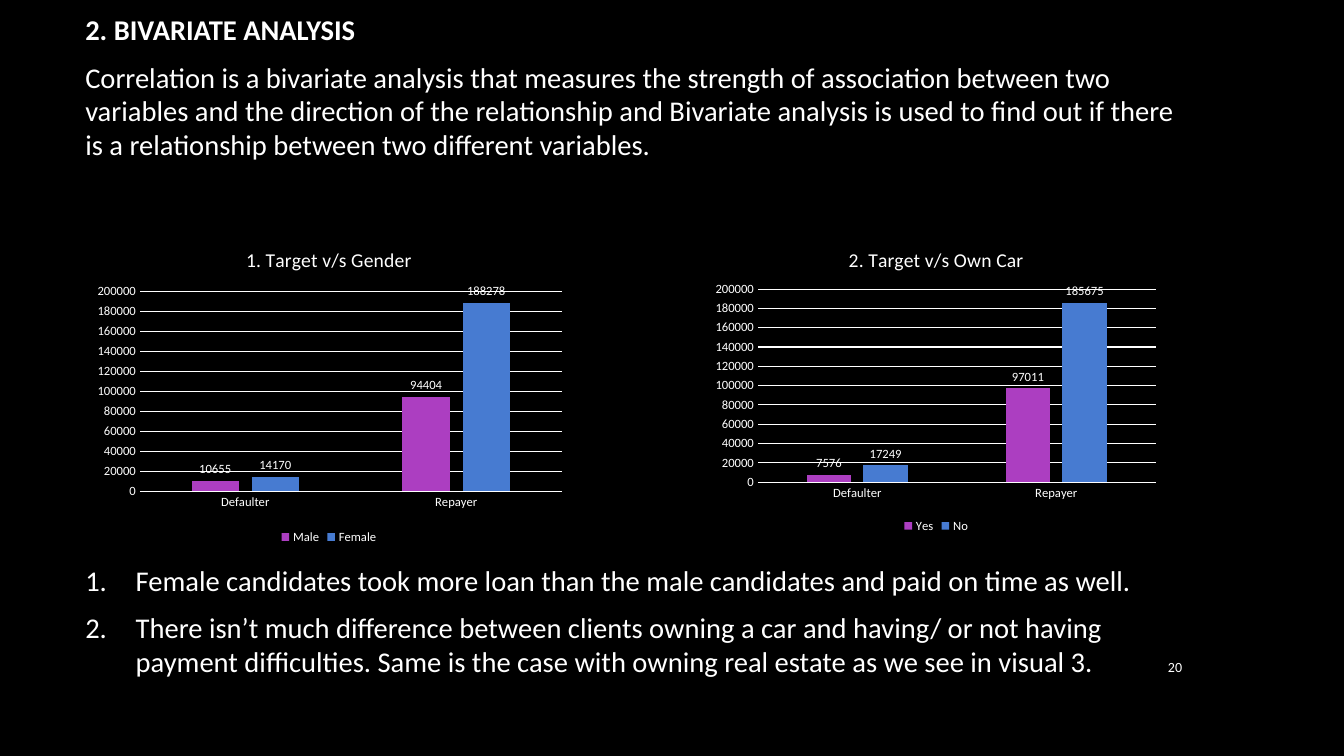
from dataclasses import dataclass
from lxml.etree import SubElement
from pptx import Presentation
from pptx.chart.data import CategoryChartData
from pptx.dml.color import RGBColor
from pptx.enum.chart import (XL_CHART_TYPE, XL_LABEL_POSITION,
                             XL_LEGEND_POSITION, XL_TICK_MARK)
from pptx.enum.text import MSO_ANCHOR, PP_ALIGN
from pptx.oxml.ns import qn
from pptx.util import Cm, Pt


@dataclass(frozen=True)
class Theme:
    font: str = "Calibri"
    back: RGBColor = RGBColor(0, 0, 0)
    ink: RGBColor = RGBColor(255, 255, 255)
    bars: tuple = (RGBColor(0xAC, 0x3E, 0xC1), RGBColor(0x47, 0x7B, 0xD1))
    body: float = 20.4
    title: float = 14
    page: float = 10
    label: float = 9
    line: float = 0.75


class Deck:
    def __init__(self, theme):
        self.theme = theme
        self.prs = Presentation()
        self.prs.slide_width, self.prs.slide_height = Cm(33.87), Cm(19.05)
        self.slide = self.prs.slides.add_slide(self.prs.slide_layouts[6])
        fill = self.slide.background.fill
        fill.solid()
        fill.fore_color.rgb = theme.back

    def style(self, font, size, bold=False):
        font.name, font.size, font.bold = self.theme.font, Pt(size), bold
        font.color.rgb = self.theme.ink

    def text(self, box, lines, size, align=PP_ALIGN.LEFT,
             anchor=MSO_ANCHOR.TOP, listed=False):
        """Lines are (text, bold) pairs, one paragraph each."""
        frame = self.slide.shapes.add_textbox(*map(Cm, box)).text_frame
        frame.word_wrap = True
        frame.vertical_anchor = anchor
        frame.margin_top = frame.margin_bottom = 0
        for i, (words, bold) in enumerate(lines):
            para = frame.paragraphs[0] if i == 0 else frame.add_paragraph()
            para.alignment = align
            para.line_spacing = 0.98
            para.space_after = Pt(10)
            if listed:
                self.number(para)
            run = para.add_run()
            run.text = words
            self.style(run.font, size, bold)

    def number(self, para):
        props = para._p.get_or_add_pPr()
        props.set("marL", str(Cm(1.27)))
        props.set("indent", str(-Cm(1.27)))
        SubElement(props, qn("a:buFont"), typeface="+mj-lt")
        SubElement(props, qn("a:buAutoNum"), type="arabicPeriod")

    def chart(self, box, title, cats, series):
        theme = self.theme
        data = CategoryChartData()
        data.categories = cats
        for name, vals in series:
            data.add_series(name, vals)
        chart = self.slide.shapes.add_chart(
            XL_CHART_TYPE.COLUMN_CLUSTERED, *map(Cm, box), data).chart
        self.style(chart.font, theme.page)

        # Title and legend
        chart.has_title = True
        run = chart.chart_title.text_frame.paragraphs[0].add_run()
        run.text = title
        self.style(run.font, theme.title)
        chart.chart_title.include_in_layout = False
        chart.has_legend = True
        chart.legend.position = XL_LEGEND_POSITION.BOTTOM
        chart.legend.include_in_layout = False
        self.style(chart.legend.font, theme.label)

        # Axes
        for axis in (chart.category_axis, chart.value_axis):
            axis.major_tick_mark = axis.minor_tick_mark = XL_TICK_MARK.NONE
            self.style(axis.tick_labels.font, theme.label)
        scale = chart.value_axis
        scale.minimum_scale, scale.maximum_scale = 0, 200000
        scale.major_unit = 20000
        scale.format.line.fill.background()
        for line in (chart.category_axis.format.line,
                     scale.major_gridlines.format.line):
            line.color.rgb = theme.ink
            line.width = Pt(theme.line)

        # Bars and their values
        plot = chart.plots[0]
        plot.vary_by_categories = False
        plot.gap_width, plot.overlap = 219, -27
        for bar, color in zip(plot.series, theme.bars):
            bar.format.fill.solid()
            bar.format.fill.fore_color.rgb = color
            labels = bar.data_labels
            labels.show_value = True
            labels.position = XL_LABEL_POSITION.OUTSIDE_END
            self.style(labels.font, theme.label)
        self.place(chart)

    def place(self, chart):
        """Fix the inner plot area as shares of the chart."""
        area = chart._chartSpace.chart.plotArea
        old = area.find(qn("c:layout"))
        if old is not None:
            area.remove(old)
        lay = SubElement(area, qn("c:layout"))
        area.insert(0, lay)
        man = SubElement(lay, qn("c:manualLayout"))
        for tag, val in (("layoutTarget", "inner"), ("xMode", "edge"),
                         ("yMode", "edge"), ("x", "0.11"), ("y", "0.19"),
                         ("w", "0.87"), ("h", "0.63")):
            SubElement(man, qn("c:" + tag), val=val)


def main():
    theme = Theme()
    deck = Deck(theme)
    left, wide = 1.9, 28.14

    # Heading and definition
    deck.text((left, 0.35, wide, 4), [
        ("2. BIVARIATE ANALYSIS", True),
        ("Correlation is a bivariate analysis that measures the strength of "
         "association between two variables and the direction of the "
         "relationship and Bivariate analysis is used to find out if there "
         "is a relationship between two different variables.", False),
    ], theme.body)

    # Charts
    cats = ("Defaulter", "Repayer")
    deck.chart((2.18, 5.82, 12.22, 8), "1. Target v/s Gender", cats,
               [("Male", (10655, 94404)), ("Female", (14170, 188278))])
    deck.chart((17.83, 5.82, 11.53, 7.72), "2. Target v/s Own Car", cats,
               [("Yes", (7576, 97011)), ("No", (17249, 185675))])

    # Findings
    deck.text((left, 14.22, wide, 3.2), [
        ("Female candidates took more loan than the male candidates and paid "
         "on time as well.", False),
        ("There isn’t much difference between clients owning a car and "
         "having/ or not having payment difficulties. Same is the case with "
         "owning real estate as we see in visual 3.", False),
    ], theme.body, listed=True)

    # Page number
    deck.text((28.52, 16.31, 1.52, 1.04), [("20", False)], theme.page,
              PP_ALIGN.RIGHT, MSO_ANCHOR.MIDDLE)

    deck.prs.save("out.pptx")


if __name__ == "__main__":
    main()
